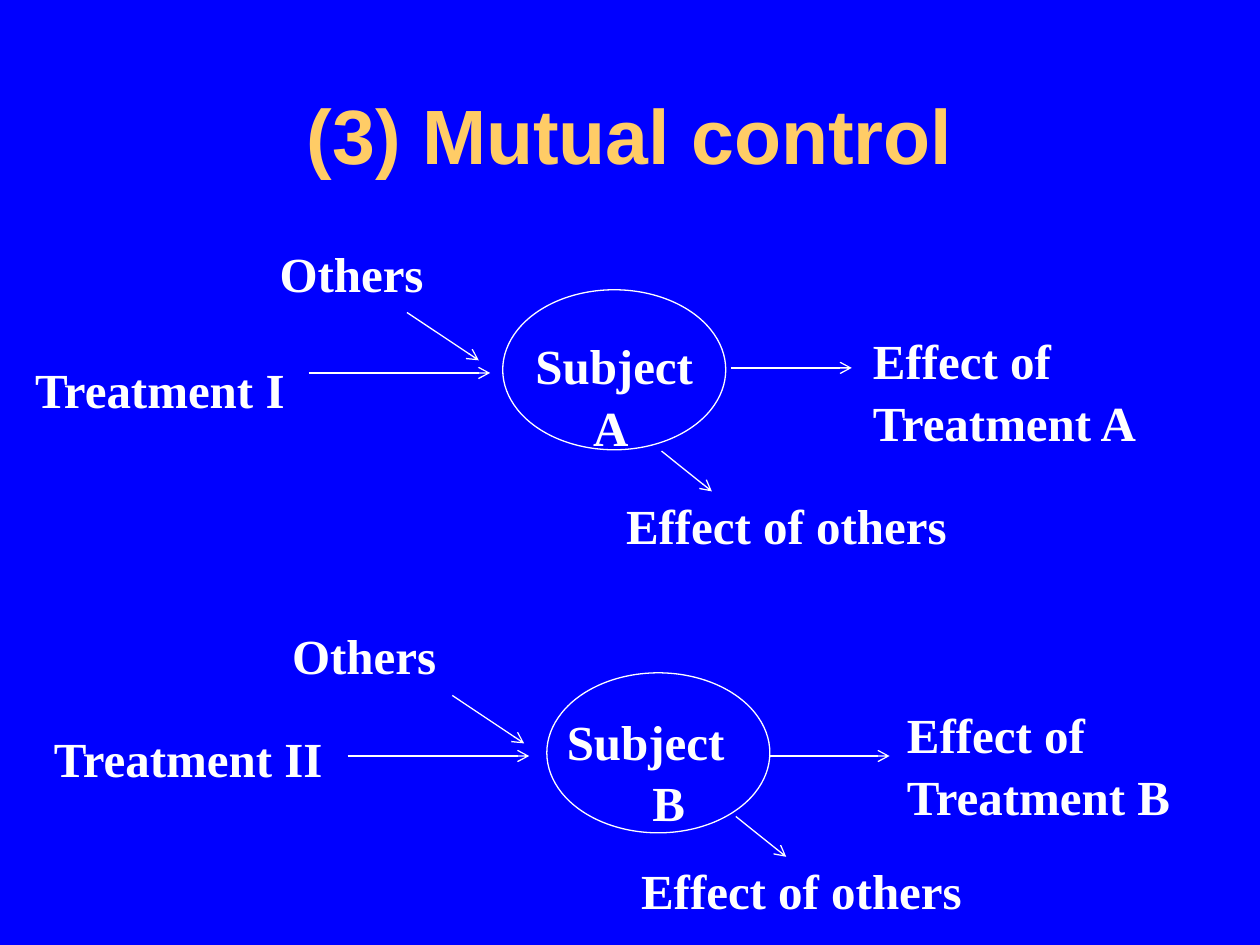
from dataclasses import dataclass

from lxml.etree import SubElement
from pptx import Presentation
from pptx.dml.color import RGBColor
from pptx.enum.shapes import MSO_CONNECTOR, MSO_SHAPE
from pptx.enum.text import MSO_ANCHOR, PP_ALIGN
from pptx.oxml.ns import qn
from pptx.util import Inches, Pt

COLORS = {"background": "0000FF", "title": "FFCC66", "ink": "FFFFFF"}
CELL = Inches(0.1)  # the slide is a grid of 100 columns by 75 rows
OVAL_SIZE = (17.7, 12.7)
LABEL_HEIGHT = 7.7
# Column and row span of each kind of arrow
ARROW_SPANS = {
    "treatment": (14.4, 0),
    "others": (5.7, 3.8),
    "effect": (9.6, 0),
    "side effect": (4, 3.2),
}


@dataclass(frozen=True)
class Label:
    lines: tuple[str, ...]
    col: float
    row: float
    width: float
    indents: tuple[float, ...] = (0, 0)


@dataclass(frozen=True)
class Diagram:
    oval: tuple[float, float]
    arrow_starts: dict[str, tuple[float, float]]
    labels: tuple[Label, ...]


DIAGRAMS = (
    Diagram(
        oval=(39.9, 23),
        arrow_starts={"treatment": (24.5, 29.6), "others": (32.3, 24.8),
                      "effect": (58, 29.2), "side effect": (52.5, 35.8)},
        labels=(
            Label(("Others",), 21.2, 18.3, 19.2),
            Label(("Treatment I",), 1.8, 27.5, 25),
            Label(("Subject", "A"), 41.5, 25.6, 20.2, (0, 4.6)),
            Label(("Effect of", "Treatment A"), 68.3, 25.2, 27.5),
            Label(("Effect of others",), 48.7, 38.3, 39.8),
        ),
    ),
    Diagram(
        oval=(43.4, 53.4),
        arrow_starts={"treatment": (27.6, 60), "others": (35.9, 55.2),
                      "effect": (61, 60), "side effect": (58.4, 64.8)},
        labels=(
            Label(("Others",), 22.2, 48.6, 19.1),
            Label(("Treatment II",), 3.3, 56.8, 25),
            Label(("Subject", "B"), 39.2, 55.4, 20.6, (4.8, 11.6)),
            Label(("Effect of", "Treatment B"), 71, 54.9, 29),
            Label(("Effect of others",), 49.9, 67.3, 38.4),
        ),
    ),
)


def grid(*cells: float) -> list[int]:
    return [round(c * CELL) for c in cells]


def color(name: str) -> RGBColor:
    return RGBColor.from_string(COLORS[name])


def add_text(s, lines, box, *, indents=(0, 0), font="Times New Roman", size=28,
             fill="ink", align=PP_ALIGN.JUSTIFY, anchor=MSO_ANCHOR.TOP,
             top_inset=0.8, spacing=1.05) -> None:
    tf = s.shapes.add_textbox(*grid(*box)).text_frame
    tf.word_wrap = True
    tf.vertical_anchor = anchor
    tf.margin_top = grid(top_inset)[0]
    for i, (line, indent) in enumerate(zip(lines, indents)):
        p = tf.add_paragraph() if i else tf.paragraphs[0]
        p.alignment = align
        p.line_spacing = spacing
        if indent:
            p._p.get_or_add_pPr().set("marL", str(grid(indent)[0]))
        r = p.add_run()
        r.text = line
        r.font.name = font
        r.font.size = Pt(size)
        r.font.bold = True
        r.font.color.rgb = color(fill)


def add_oval(s, col: float, row: float) -> None:
    sp = s.shapes.add_shape(MSO_SHAPE.OVAL, *grid(col, row, *OVAL_SIZE))
    sp.shadow.inherit = False
    sp.fill.background()
    sp.line.color.rgb = color("ink")
    sp.line.width = Pt(0.75)


def add_arrow(s, start: tuple[float, float], span: tuple[float, float]) -> None:
    (col, row), (cols, rows) = start, span
    c = s.shapes.add_connector(MSO_CONNECTOR.STRAIGHT,
                               *grid(col, row, col + cols, row + rows))
    c.line.color.rgb = color("ink")
    c.line.width = Pt(0.75)
    SubElement(c.line._get_or_add_ln(), qn("a:tailEnd"), type="arrow")
    SubElement(c._element.spPr, qn("a:effectLst"))


def add_diagram(s, diagram: Diagram) -> None:
    add_oval(s, *diagram.oval)
    for kind, start in diagram.arrow_starts.items():
        add_arrow(s, start, ARROW_SPANS[kind])
    for label in diagram.labels:
        add_text(s, label.lines, (label.col, label.row, label.width, LABEL_HEIGHT),
                 indents=label.indents)


def main() -> None:
    prs = Presentation()
    prs.slide_width, prs.slide_height = grid(100, 75)
    s = prs.slides.add_slide(prs.slide_layouts[6])
    s.background.fill.solid()
    s.background.fill.fore_color.rgb = color("background")
    add_text(s, ("(3) Mutual control",), (7.5, 7, 85, 7.2), font="Arial", size=44,
             fill="title", align=PP_ALIGN.CENTER, anchor=MSO_ANCHOR.MIDDLE,
             top_inset=0.5, spacing=1.0)
    for diagram in DIAGRAMS:
        add_diagram(s, diagram)
    prs.save("out.pptx")


if __name__ == "__main__":
    main()
